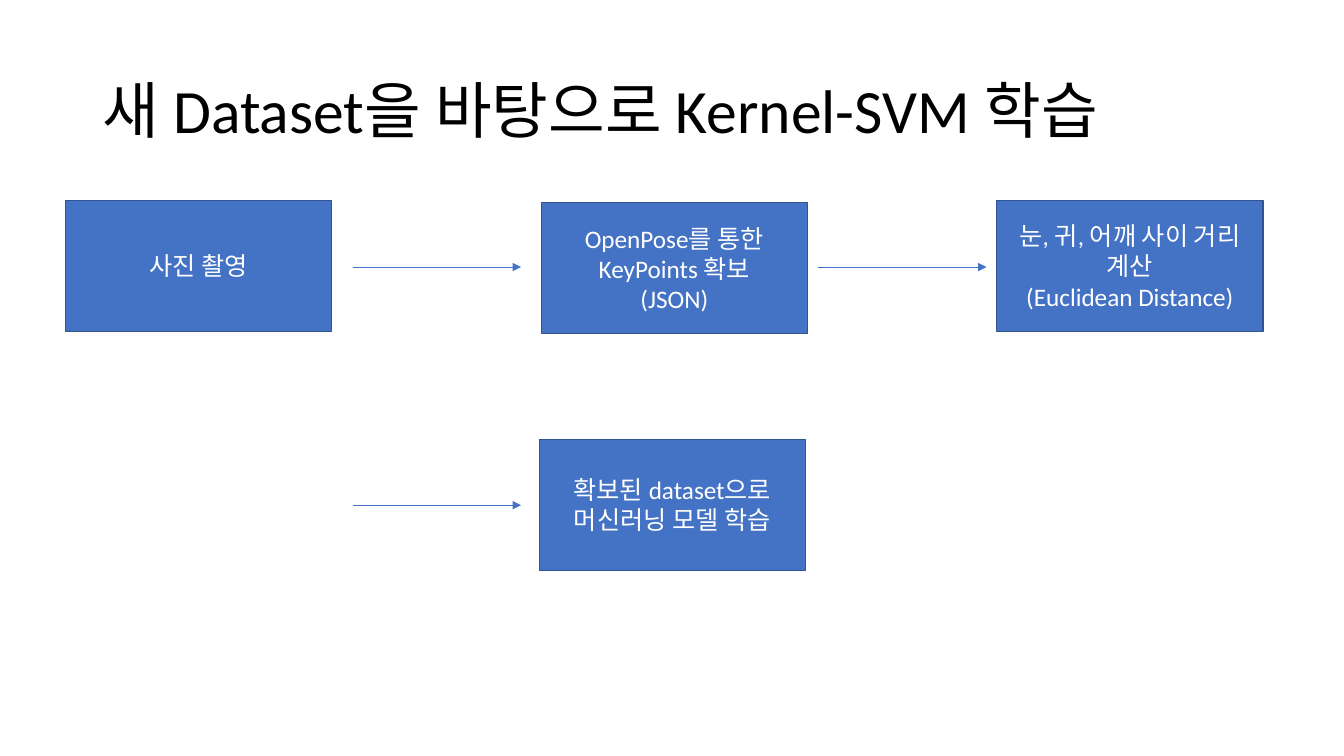
from dataclasses import dataclass

from lxml.etree import SubElement
from pptx import Presentation
from pptx.dml.color import RGBColor
from pptx.enum.shapes import MSO_CONNECTOR, MSO_SHAPE
from pptx.enum.text import MSO_ANCHOR, PP_ALIGN
from pptx.oxml.ns import qn
from pptx.slide import Slide
from pptx.text.text import TextFrame
from pptx.util import Cm, Pt

COLORS = {"step": "4472C4", "border": "325491", "title": "000000", "label": "FFFFFF"}
FONT = "Calibri"
STEP_WIDTH, STEP_HEIGHT = 6.71, 3.3
ARROW_LENGTH = 4.24


@dataclass
class Step:
    left: float
    top: float
    lines: list[str]


@dataclass
class Arrow:
    left: float
    y: float


# Flow content, lengths in centimetres
STEPS = [
    Step(1.65, 5.05, ["사진 촬영"]),
    Step(13.64, 5.11, ["OpenPose를 통한", "KeyPoints 확보", "(JSON)"]),
    Step(25.12, 5.05, ["눈, 귀, 어깨 사이 거리 계산", "(Euclidean Distance)"]),
    Step(13.59, 11.07, ["확보된 dataset으로", "머신러닝 모델 학습"]),
]
ARROWS = [Arrow(8.89, 6.73), Arrow(20.62, 6.73), Arrow(8.89, 12.73)]


def color(name: str) -> RGBColor:
    return RGBColor.from_string(COLORS[name])


def write_lines(frame: TextFrame, lines: list[str], size: int, color_name: str,
                align: PP_ALIGN, spacing: float = 1.0) -> None:
    frame.word_wrap = True
    frame.vertical_anchor = MSO_ANCHOR.MIDDLE
    frame.text = "\n".join(lines)
    for para in frame.paragraphs:
        para.alignment = align
        para.line_spacing = spacing
        para.font.name = FONT
        para.font.size = Pt(size)
        para.font.color.rgb = color(color_name)


def draw_step(page: Slide, step: Step) -> None:
    box = page.shapes.add_shape(MSO_SHAPE.RECTANGLE, Cm(step.left), Cm(step.top),
                                Cm(STEP_WIDTH), Cm(STEP_HEIGHT))
    box.shadow.inherit = False
    box.fill.solid()
    box.fill.fore_color.rgb = color("step")
    box.line.color.rgb = color("border")
    box.line.width = Pt(1)
    write_lines(box.text_frame, step.lines, 18, "label", PP_ALIGN.CENTER)


def draw_arrow(page: Slide, arrow: Arrow) -> None:
    connector = page.shapes.add_connector(
        MSO_CONNECTOR.STRAIGHT, Cm(arrow.left), Cm(arrow.y),
        Cm(arrow.left + ARROW_LENGTH), Cm(arrow.y))
    connector.line.color.rgb = color("step")
    connector.line.width = Pt(0.5)
    SubElement(connector.line._get_or_add_ln(), qn("a:tailEnd"), type="triangle")
    SubElement(connector._element.spPr, qn("a:effectLst"))


def main() -> None:
    deck = Presentation()
    deck.slide_width, deck.slide_height = Cm(33.87), Cm(19.05)
    page = deck.slides.add_slide(deck.slide_layouts[6])

    # Title
    title = page.shapes.add_textbox(Cm(2.34), Cm(1.02), Cm(29.21), Cm(3.68))
    write_lines(title.text_frame, ["새 Dataset을 바탕으로 Kernel-SVM 학습"],
                44, "title", PP_ALIGN.LEFT, 0.9)

    # Flow
    for step in STEPS:
        draw_step(page, step)
    for arrow in ARROWS:
        draw_arrow(page, arrow)

    deck.save("out.pptx")


if __name__ == "__main__":
    main()
